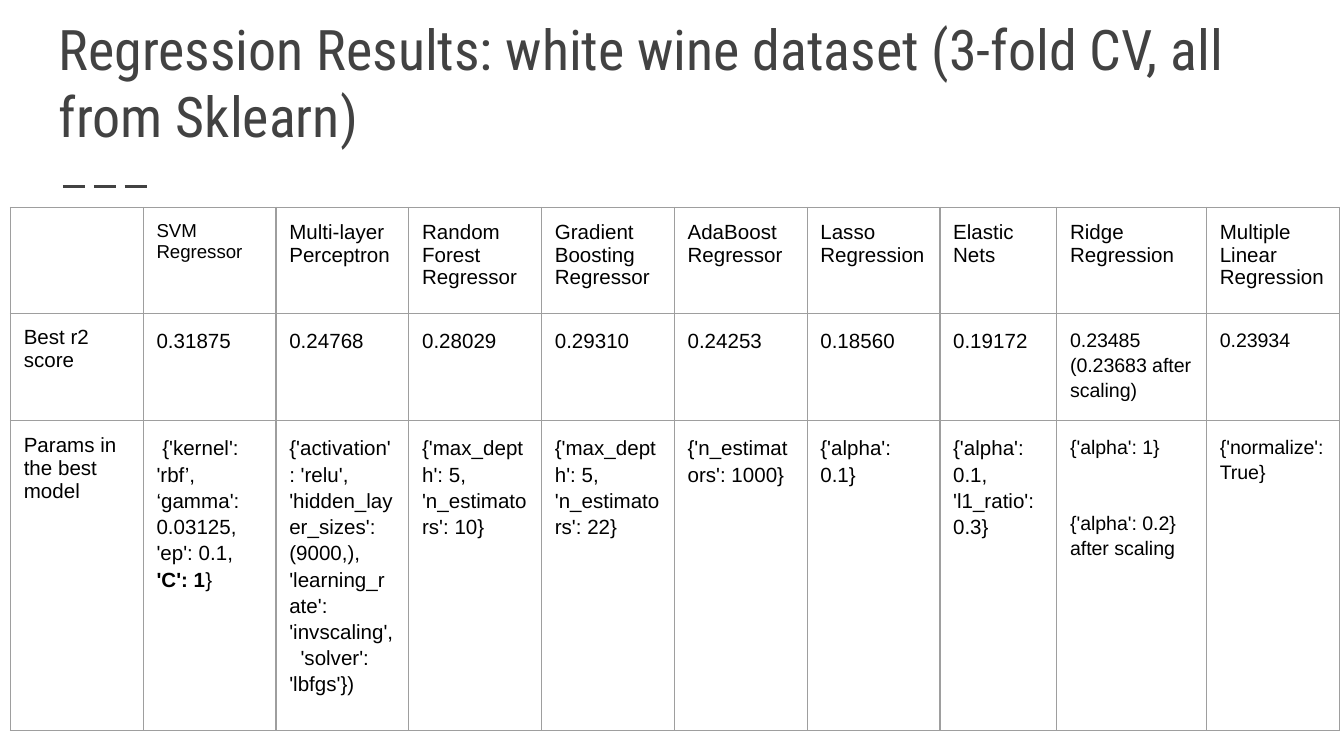
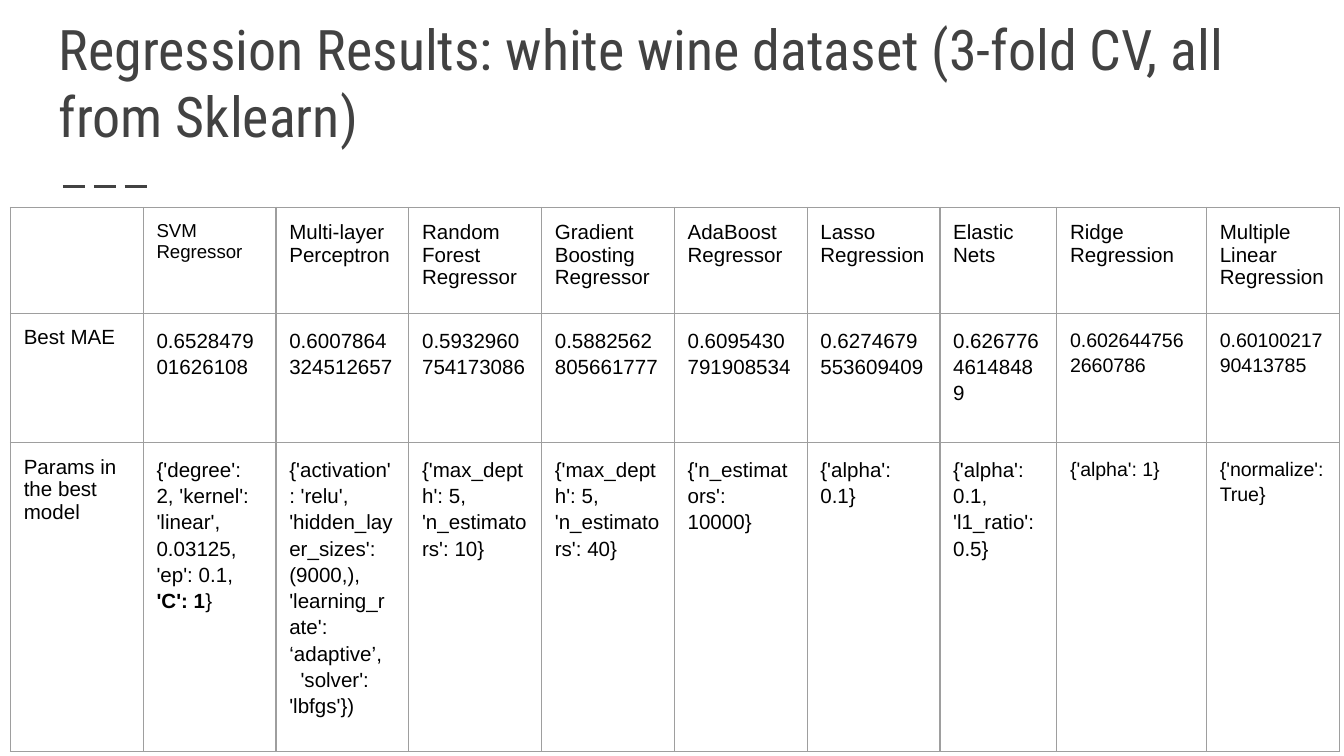
from dataclasses import dataclass

from lxml import etree
from pptx import Presentation, util as u
from pptx.dml.color import RGBColor
from pptx.enum import dml, shapes, text
from pptx.oxml import ns
from pptx.util import Cm, Pt

# Shared style
DARK, BLACK, GRID = "424242", "000000", "9E9E9E"
TITLE_FONT, BODY_FONT = "Roboto Condensed", "Arial"
TITLE = "Regression Results: white wine dataset (3-fold CV, all from Sklearn)"
INSET = Cm(0.25)
COLUMN_WIDTHS = [2.51] * 7 + [2.21, 2.83, 2.51]
MODELS = [
    "SVM Regressor ", "Multi-layer Perceptron", "Random Forest Regressor",
    "Gradient Boosting Regressor", "AdaBoost Regressor", "Lasso Regression",
    "Elastic Nets", "Ridge Regression", "Multiple Linear Regression",
]


@dataclass
class Line:
    """One paragraph of a cell, with an optional bold part and ending."""
    start: str
    bold: str = ""
    end: str = ""
    space_before: float = 0
    indent: float = 0


Content = str | list[Line]


@dataclass
class Results:
    """One slide of results: a score per model and its best parameters."""
    score_name: str
    scores: list[Content]
    parameters: list[Content]
    row_heights: tuple[float, float, float]


def perceptron(rate: str) -> list[Line]:
    return [
        Line("{'activation': 'relu',\v'hidden_layer_sizes': (9000,),\v"
             f"'learning_rate': {rate},"),
        Line("'solver': 'lbfgs'})", indent=6),
    ]


def forest(trees: int) -> str:
    return f"{{'max_depth': 5, 'n_estimators': {trees}}}"


def elastic(ratio: float) -> str:
    return f"{{'alpha': 0.1, 'l1_ratio': {ratio}}}"


# Content
RESULTS = [
    Results(
        "Best r2 score",
        ["0.31875", "0.24768", "0.28029", "0.29310", "0.24253", "0.18560",
         "0.19172", [Line("0.23485"), Line("(0.23683 after scaling)")],
         "0.23934"],
        [[Line(" {'kernel': 'rbf’, ‘gamma': 0.03125, 'ep': 0.1, ",
               "'C': 1", "}")],
         perceptron("'invscaling'"), forest(10), forest(22),
         "{'n_estimators': 1000}", "{'alpha': 0.1}", elastic(0.3),
         [Line("{'alpha': 1}"), Line("{'alpha': 0.2}", space_before=27),
          Line("after scaling")],
         "{'normalize': True}"],
        (2, 1.93, 5.46),
    ),
    Results(
        "Best MAE",
        ["0.652847901626108", "0.6007864324512657", "0.5932960754173086",
         "0.5882562805661777", "0.6095430791908534", "0.6274679553609409",
         "0.62677646148489", "0.6026447562660786", "0.6010021790413785"],
        [[Line("{'degree': 2, 'kernel': 'linear',"),
          Line("0.03125, 'ep': 0.1, ", "'C': 1", "}")],
         perceptron("‘adaptive’"), forest(10), forest(40),
         "{'n_estimators': 10000}", "{'alpha': 0.1}", elastic(0.5),
         "{'alpha': 1}", "{'normalize': True}"],
        (2, 2.44, 5.46),
    ),
]


def color(value: str) -> RGBColor:
    return RGBColor.from_string(value)


def set_font(font, name: str, size: float, value: str) -> None:
    font.name, font.size = name, Pt(size)
    font.color.rgb = color(value)


# Title and dashed rule
def add_title(slide) -> None:
    shape = slide.shapes.add_textbox(Cm(0.86), Cm(1.04), Cm(23.68), Cm(2.03))
    frame = shape.text_frame
    frame.word_wrap = True
    frame.vertical_anchor = text.MSO_ANCHOR.BOTTOM
    frame.margin_left = frame.margin_right = INSET
    frame.margin_top = frame.margin_bottom = INSET
    paragraph = frame.paragraphs[0]
    paragraph.text = TITLE
    set_font(paragraph.font, TITLE_FONT, 30, DARK)


def add_dashes(slide) -> None:
    line = slide.shapes.add_connector(
        shapes.MSO_CONNECTOR.STRAIGHT, Cm(1.19), Cm(3.53), Cm(2.9), Cm(3.53))
    line.line.color.rgb = color(DARK)
    line.line.width = Pt(1.5)
    line.line.dash_style = dml.MSO_LINE.LONG_DASH
    etree.SubElement(line._element.spPr, ns.qn("a:effectLst"))


# Table
def add_borders(cell) -> None:
    properties = cell._tc.get_or_add_tcPr()
    for side in ("lnL", "lnR", "lnT", "lnB"):
        border = etree.SubElement(
            properties, ns.qn(f"a:{side}"), w=str(Pt(0.75)))
        fill = etree.SubElement(border, ns.qn("a:solidFill"))
        etree.SubElement(fill, ns.qn("a:srgbClr"), val=GRID)


def fill_cell(cell, content: Content, size: float, spacing: float) -> None:
    add_borders(cell)
    cell.fill.background()
    cell.margin_left = cell.margin_right = INSET
    cell.margin_top = cell.margin_bottom = INSET
    lines = [Line(content)] if isinstance(content, str) else content
    frame = cell.text_frame
    for index, line in enumerate(lines):
        paragraph = frame.add_paragraph() if index else frame.paragraphs[0]
        paragraph.text = line.start
        paragraph.line_spacing = spacing
        set_font(paragraph.font, BODY_FONT, size, BLACK)
        if line.space_before:
            paragraph.space_before = Pt(line.space_before)
        if line.indent:
            paragraph._p.get_or_add_pPr().set("indent", str(Pt(line.indent)))
        if line.bold:
            run = paragraph.add_run()
            run.text, run.font.bold = line.bold, True
            paragraph.add_run().text = line.end


def text_size(row: int, column: int) -> float:
    if row == 0:
        return 10 if column == 1 else 11
    return 10.5 if column >= 8 else 11


def add_results(slide, results: Results) -> None:
    rows = [
        ["", *MODELS],
        [results.score_name, *results.scores],
        ["Params in the best model", *results.parameters],
    ]
    table = slide.shapes.add_table(
        len(rows), len(COLUMN_WIDTHS), Cm(0.2), Cm(3.92),
        Cm(sum(COLUMN_WIDTHS)), Cm(sum(results.row_heights))).table
    table.first_row = table.horz_banding = False
    for column, width in zip(table.columns, COLUMN_WIDTHS):
        column.width = Cm(width)
    for row, height in zip(table.rows, results.row_heights):
        row.height = Cm(height)
    for r, contents in enumerate(rows):
        for c, content in enumerate(contents):
            spacing = 1.15 if r and c else 1.0
            fill_cell(table.cell(r, c), content, text_size(r, c), spacing)


# Slides
def build() -> None:
    presentation = Presentation()
    presentation.slide_width = u.Cm(25.4)
    presentation.slide_height = u.Cm(14.29)
    for results in RESULTS:
        slide = presentation.slides.add_slide(presentation.slide_layouts[6])
        add_dashes(slide)
        add_title(slide)
        add_results(slide, results)
    presentation.save("out.pptx")


build()
